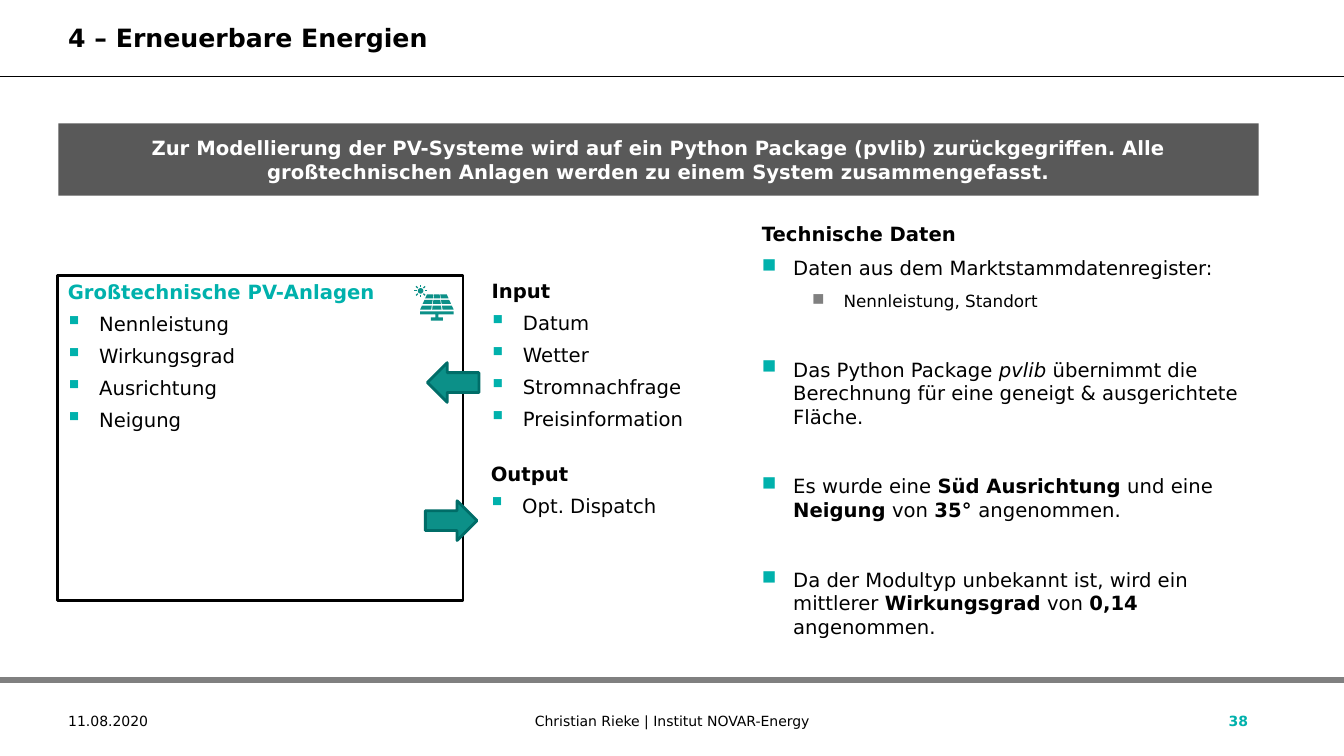
from math import cos, pi, sin

from lxml.etree import SubElement
from pptx import Presentation
from pptx.dml.color import RGBColor
from pptx.enum.shapes import MSO_CONNECTOR, MSO_SHAPE
from pptx.enum.text import MSO_ANCHOR, PP_ALIGN
from pptx.oxml.ns import qn
from pptx.util import Cm, Pt

FONT = "DejaVu Sans"
BLACK = RGBColor(0x00, 0x00, 0x00)
WHITE = RGBColor(0xFF, 0xFF, 0xFF)
GREY = RGBColor(0x80, 0x80, 0x80)
BANNER_GREY = RGBColor(0x59, 0x59, 0x59)
TURQUOISE = RGBColor(0x00, 0xB1, 0xAC)
TEAL = RGBColor(0x0C, 0x90, 0x88)
DARK_TEAL = RGBColor(0x00, 0x6D, 0x68)

SLIDE_WIDTH = 33.87
SMALL_SQUARE, LARGE_SQUARE = "§", "n"
SECTION_GAP = 27

TECHNICAL_DATA = [
    (["Daten aus dem Marktstammdatenregister:"], 0, 2),
    (["Nennleistung, Standort"], 1, 2),
    (["Das Python Package ", ("pvlib ", "i"),
      "übernimmt die Berechnung für eine geneigt & ausgerichtete Fläche."], 0, SECTION_GAP),
    (["Es wurde eine ", ("Süd Ausrichtung", "b"), " und eine ", ("Neigung", "b"),
      " von ", ("35° ", "b"), "angenommen."], 0, SECTION_GAP),
    (["Da der Modultyp unbekannt ist, wird ein mittlerer ", ("Wirkungsgrad", "b"),
      " von ", ("0,14", "b"), " angenommen."], 0, SECTION_GAP),
]


def add_bullet(paragraph, symbol, color, indent, percent=100):
    properties = paragraph._p.get_or_add_pPr()
    properties.set("marL", str(Cm(indent)))
    properties.set("indent", str(Cm(-0.79)))
    bullet_color = SubElement(properties, qn("a:buClr"))
    SubElement(bullet_color, qn("a:srgbClr"), val=str(color))
    SubElement(properties, qn("a:buSzPct"), val=str(percent * 1000))
    SubElement(properties, qn("a:buFont"), typeface="Wingdings", charset="2")
    SubElement(properties, qn("a:buChar"), char=symbol)


def style_paragraph(paragraph, size, color=BLACK, bold=None, before=0, after=0):
    paragraph.space_before = Pt(before)
    paragraph.space_after = Pt(after)
    font = paragraph.font
    font.name, font.size, font.bold = FONT, Pt(size), bold
    font.color.rgb = color


def add_text(slide, left, top, width, height, anchor=MSO_ANCHOR.TOP):
    box = slide.shapes.add_textbox(Cm(left), Cm(top), Cm(width), Cm(height))
    box.text_frame.word_wrap = True
    box.text_frame.vertical_anchor = anchor
    return box.text_frame


def add_label(slide, text, left, top, width, height, size, align=PP_ALIGN.LEFT,
              color=BLACK, bold=False):
    label = add_text(slide, left, top, width, height, MSO_ANCHOR.MIDDLE).paragraphs[0]
    label.text = text
    label.alignment = align
    style_paragraph(label, size, color, bold)


def add_rule(slide, top, color, weight):
    rule = slide.shapes.add_connector(
        MSO_CONNECTOR.STRAIGHT, 0, Cm(top), Cm(SLIDE_WIDTH), Cm(top))
    rule.line.color.rgb = color
    rule.line.width = Pt(weight)
    SubElement(rule._element.spPr, qn("a:effectLst"))


def add_filled(slide, kind, left, top, width, height, fill, outline=None):
    shape = slide.shapes.add_shape(kind, Cm(left), Cm(top), Cm(width), Cm(height))
    paint(shape, fill)
    if outline is not None:
        shape.line.color.rgb = outline
        shape.line.width = Pt(2)
    return shape


def paint(shape, fill):
    shape.shadow.inherit = False
    shape.fill.solid()
    shape.fill.fore_color.rgb = fill
    shape.line.fill.background()


def add_polygon(slide, points):
    start, *rest = [(Cm(x), Cm(y)) for x, y in points]
    outline = slide.shapes.build_freeform(*start)
    outline.add_line_segments(rest, close=True)
    paint(outline.convert_to_shape(), TEAL)


def fill_list(frame, heading, items, heading_color=BLACK):
    title = frame.paragraphs[0]
    title.text = heading
    title.alignment = PP_ALIGN.LEFT
    style_paragraph(title, 14, heading_color, True, before=6)
    for item in items:
        entry = frame.add_paragraph()
        entry.text = item
        entry.alignment = PP_ALIGN.LEFT
        add_bullet(entry, SMALL_SQUARE, TURQUOISE, 0.79, 140)
        style_paragraph(entry, 14, bold=False, before=6)


def add_banner(slide, text):
    banner = add_filled(slide, MSO_SHAPE.RECTANGLE, 1.47, 3.11, 30.25, 1.82, BANNER_GREY)
    banner.text_frame.word_wrap = True
    banner.text_frame.vertical_anchor = MSO_ANCHOR.MIDDLE
    statement = banner.text_frame.paragraphs[0]
    statement.text = text
    statement.alignment = PP_ALIGN.CENTER
    style_paragraph(statement, 14, WHITE, True)


def add_technical_data(slide):
    frame = add_text(slide, 18.95, 5.46, 12.75, 11.15)
    heading = frame.paragraphs[0]
    heading.text = "Technische Daten"
    style_paragraph(heading, 14, bold=True, after=6)
    for parts, level, before in TECHNICAL_DATA:
        entry = frame.add_paragraph()
        entry.level = level
        for part in parts:
            text, emphasis = (part, "") if isinstance(part, str) else part
            run = entry.add_run()
            run.text = text
            if emphasis:
                run.font.bold = emphasis == "b"
                run.font.italic = emphasis == "i"
        add_bullet(entry, LARGE_SQUARE, GREY if level else TURQUOISE, 0.79 + 1.27 * level)
        style_paragraph(entry, 14 - 2 * level, before=before, after=6)


def add_sun(slide, x, y):
    radius, inner, outer, half = 0.07, 0.1, 0.16, 0.015
    add_filled(slide, MSO_SHAPE.OVAL, x - radius, y - radius, 2 * radius, 2 * radius, TEAL)
    for step in range(8):
        dx, dy = cos(step * pi / 4), sin(step * pi / 4)
        corners = [(inner, -half), (outer, -half), (outer, half), (inner, half)]
        add_polygon(slide, [(x + r * dx - w * dy, y + r * dy + w * dx) for r, w in corners])


def add_solar_panel(slide, x, top):
    def edge(share, y):
        return x + share * (0.25 + 0.45 * (y - top)), y

    for row in range(3):
        upper = top + 0.14 * row
        lower = upper + 0.1
        for left, right in [(-1, -0.34), (-0.28, 0.28), (0.34, 1)]:
            add_polygon(slide, [edge(left, upper), edge(right, upper),
                                edge(right, lower), edge(left, lower)])
    stand = [(0.42, 0.43), (0.42, 0.5), (0.04, 0.5), (0.04, 0.58), (0.15, 0.58), (0.15, 0.66)]
    add_polygon(slide, [(x + dx, top + dy) for dx, dy in stand]
                + [(x - dx, top + dy) for dx, dy in reversed(stand)])


def add_plant_model(slide):
    fill_list(add_text(slide, 12.14, 6.91, 6.81, 4.11), "Input",
              ["Datum", "Wetter", "Stromnachfrage", "Preisinformation"])
    fill_list(add_text(slide, 12.12, 11.51, 7.21, 1.68), "Output", ["Opt. Dispatch"])
    plant = add_filled(slide, MSO_SHAPE.RECTANGLE, 1.46, 6.94, 10.21, 8.2, WHITE, BLACK)
    plant.text_frame.word_wrap = True
    plant.text_frame.vertical_anchor = MSO_ANCHOR.TOP
    fill_list(plant.text_frame, "Großtechnische PV-Anlagen",
              ["Nennleistung", "Wirkungsgrad", "Ausrichtung", "Neigung"], TURQUOISE)
    add_filled(slide, MSO_SHAPE.LEFT_ARROW, 10.77, 9.14, 1.3, 1, TEAL, DARK_TEAL)
    add_filled(slide, MSO_SHAPE.RIGHT_ARROW, 10.72, 12.62, 1.3, 1, TEAL, DARK_TEAL)
    add_sun(slide, 10.6, 7.33)
    add_solar_panel(slide, 11.01, 7.42)


def main():
    presentation = Presentation()
    presentation.slide_width = Cm(SLIDE_WIDTH)
    presentation.slide_height = Cm(19.05)
    slide = presentation.slides.add_slide(presentation.slide_layouts[6])
    add_rule(slide, 1.93, BLACK, 1)
    add_rule(slide, 17.13, GREY, 4.5)
    add_label(slide, "4 – Erneuerbare Energien", 1.47, 0.25, 30.25, 1.4, 18, bold=True)
    add_label(slide, "11.08.2020", 1.47, 17.65, 4.8, 1.02, 10)
    add_label(slide, "Christian Rieke | Institut NOVAR-Energy", 8.94, 17.65, 16, 1.02, 10,
              PP_ALIGN.CENTER)
    add_label(slide, "38", 29.46, 17.65, 2.24, 1.02, 10, PP_ALIGN.RIGHT, TURQUOISE, True)
    add_banner(slide, "Zur Modellierung der PV-Systeme wird auf ein Python Package (pvlib) "
                      "zurückgegriffen. Alle großtechnischen Anlagen werden zu einem System "
                      "zusammengefasst.")
    add_technical_data(slide)
    add_plant_model(slide)
    presentation.save("out.pptx")


if __name__ == "__main__":
    main()
